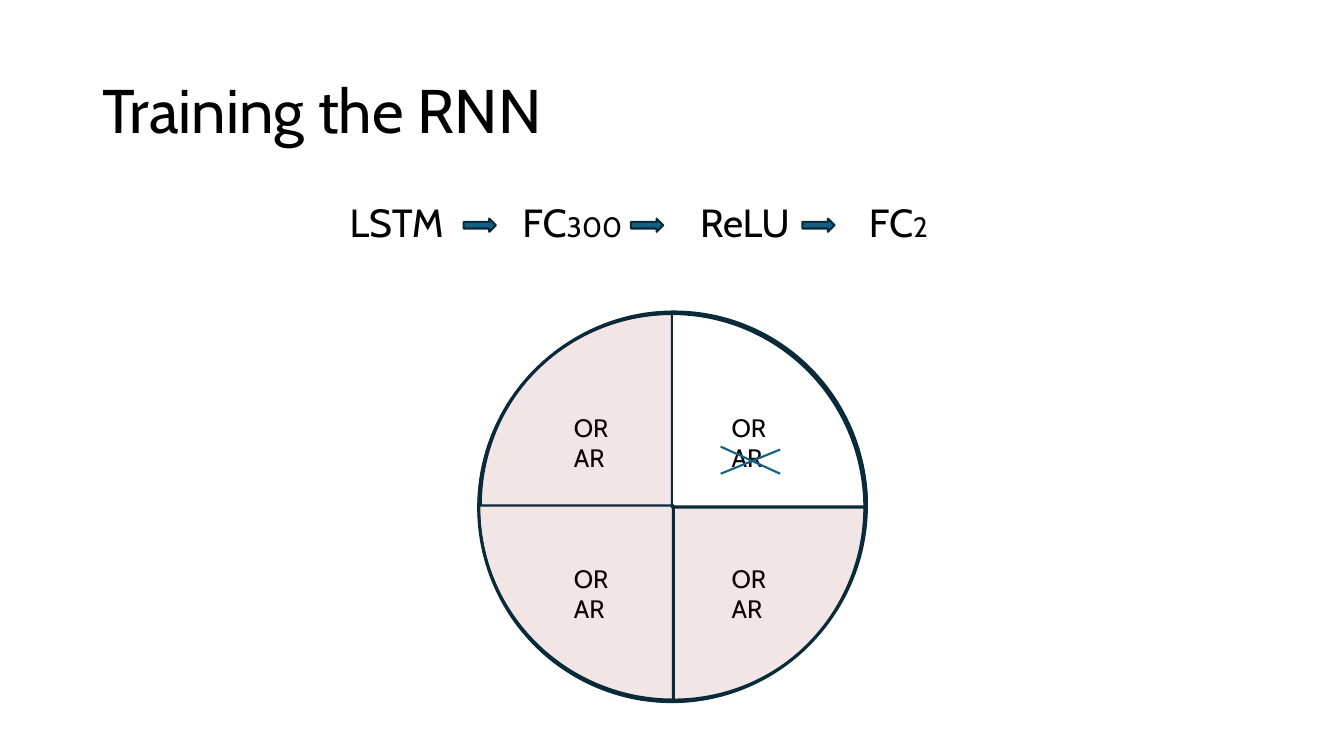
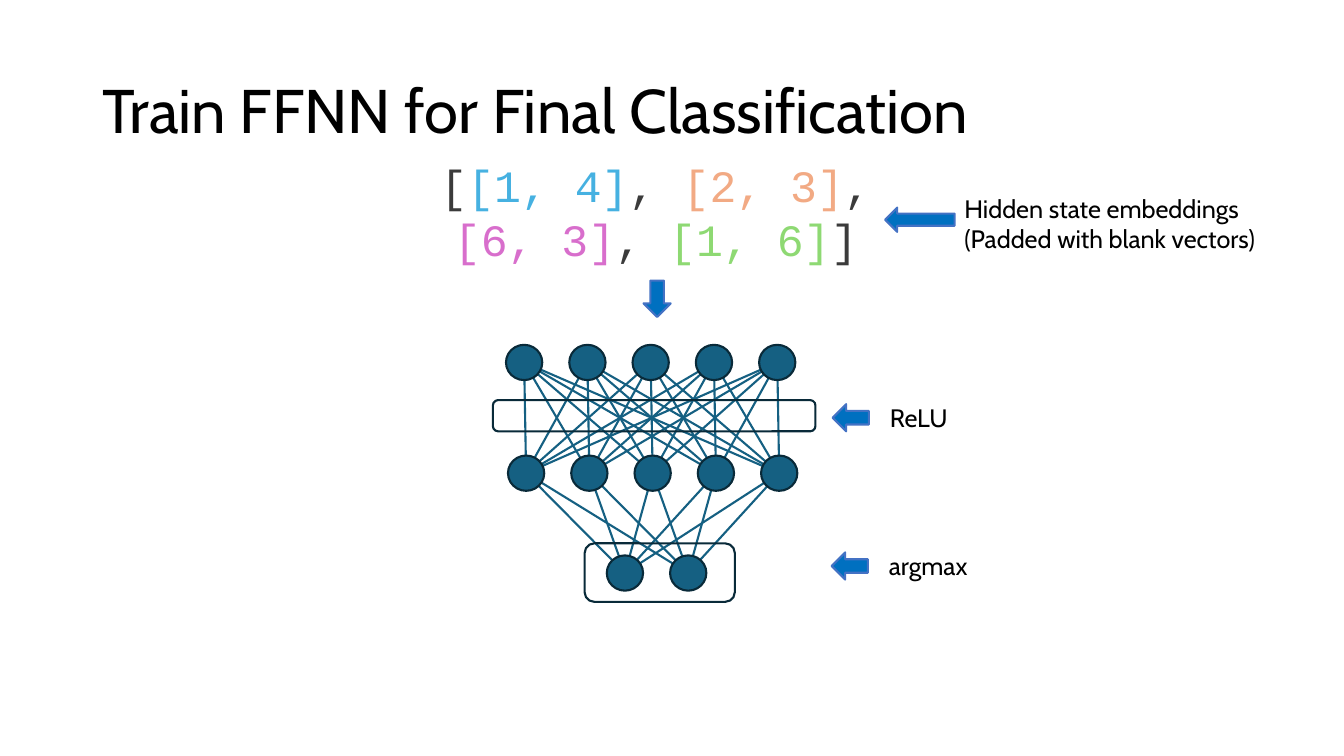
from itertools import pairwise, product

from lxml import etree
from pptx import Presentation
from pptx.dml.color import RGBColor
from pptx.enum import shapes, text
from pptx.oxml.ns import qn
from pptx.util import Pt

TEAL = RGBColor(0x15, 0x60, 0x82)
NAVY = RGBColor(0x09, 0x2A, 0x39)
BLUE = RGBColor(0x00, 0x70, 0xC0)
EDGE = RGBColor(0x44, 0x72, 0xC4)
WINE = RGBColor(0x82, 0x15, 0x17)
BLACK = RGBColor(0, 0, 0)
GREY = RGBColor(0x3B, 0x3B, 0x3B)
SKY = RGBColor(0x46, 0xB1, 0xE1)
PEACH = RGBColor(0xF2, 0xAA, 0x84)
PINK = RGBColor(0xD8, 0x6E, 0xCC)
GREEN = RGBColor(0x8E, 0xD9, 0x73)

SANS, MONO = "Cabin", "Courier New"
KIND = shapes.MSO_SHAPE
TITLE = (66, 29, 828, 104)

# Training slide: a run is (text, size, colour)
STEPS = [[("LSTM\tFC", 28, BLACK), ("300", 20, BLACK),
          ("\tReLU\tFC", 28, BLACK), ("2", 20, BLACK)]]
STEP_BOX = (242.6, 141.8, 496, 47)
TABS = (123.5, 250.5, 371)
STEP_ARROWS = (331.2, 450.7, 573.1)
WHEEL = (342, 223.9, 275.8, 277.2)
SPOKES = [(0, WINE), (90, None), (180, None)]  # turn, fill
SHIFT = 0.7
QUARTERS = list(product((402.8, 515.5), (290.9, 398.9)))
CROSS = [(514.8, 319, 557.3, 338.4), (514.8, 338.4, 557.3, 321.1)]

# Classification slide
VECTORS = [[("[", 32, GREY), ("[1, 4]", 32, SKY), (", ", 32, GREY),
            ("[2, 3]", 32, PEACH), (", ", 32, GREY), ("[6, 3]", 32, PINK),
            (", ", 32, GREY), ("[1, 6]", 32, GREEN), ("]", 32, GREY)]]
VECTOR_BOX = (301, 109.4, 334.8, 128)
LAYERS = [(5, 374.4, 258.9), (5, 375.8, 338), (2, 446.4, 409.3)]  # count, x, y
GAP = 45.2
NODE = (25.9, 25.2)
FRAMES = [(352.1, 285.8, 230.4, 22.3), (417.6, 388.1, 107.3, 41.8)]
NOTES = [
    (("Hidden state embeddings", "(Padded with blank vectors)"),
     (681.8, 134.6, 245.5, 51), (632.2, 148.3, 49.7, 17.3)),
    (("ReLU",), (628.6, 283.7, 216, 28.8), (594.7, 288.7, 25.9, 19.4)),
    (("argmax",), (627.8, 389.5, 216, 28.8), (594, 394.6, 25.9, 19.4)),
]
DOWN = (459.7, 200.5, 19.4, 25.9)


def plain(*lines):
    return [[(line, 18, BLACK)] for line in lines]


def write(slide, box, paras, face=SANS, frame=None, para=None):
    """Add a text box; frame and para hold format values."""
    tf = slide.shapes.add_textbox(*map(Pt, box)).text_frame
    tf.word_wrap = True
    for key, val in (frame or {}).items():
        setattr(tf, key, val)
    for i, runs in enumerate(paras):
        p = tf.add_paragraph() if i else tf.paragraphs[0]
        for key, val in (para or {}).items():
            setattr(p, key, val)
        for words, size, color in runs:
            run = p.add_run()
            run.text = words
            for key, val in {"name": face, "size": Pt(size)}.items():
                setattr(run.font, key, val)
            run.font.color.rgb = color
    return tf


def draw(slide, kind, box, fill=None, line=NAVY, width=1.5):
    shape = slide.shapes.add_shape(kind, *map(Pt, box))
    shape.shadow.inherit = False
    if fill is None:
        shape.fill.background()
    else:
        shape.fill.solid()
        shape.fill.fore_color.rgb = fill
    shape.line.color.rgb = line
    shape.line.width = Pt(width)
    return shape


def link(slide, *ends):
    line = slide.shapes.add_connector(shapes.MSO_CONNECTOR.STRAIGHT, *map(Pt, ends))
    line.line.color.rgb = TEAL
    line.line.width = Pt(1.5)
    etree.SubElement(line._element.spPr, qn("a:effectLst"))


def fade(shape, percent):
    """Set the opacity of a solid fill."""
    color = shape._element.spPr.find(qn("a:solidFill"))[0]
    etree.SubElement(color, qn("a:alpha")).set("val", str(percent * 1000))


def set_tabs(para, stops):
    tabs = etree.SubElement(para._p.get_or_add_pPr(), qn("a:tabLst"))
    for stop in stops:
        tab = etree.SubElement(tabs, qn("a:tab"))
        tab.set("pos", str(Pt(stop)))
        tab.set("algn", "l")


def start(deck, title):
    slide = deck.slides.add_slide(deck.slide_layouts[6])
    write(slide, TITLE, [[(title, 44, BLACK)]],
          frame={"vertical_anchor": text.MSO_ANCHOR.MIDDLE},
          para={"line_spacing": 0.9})
    return slide


def training(deck):
    slide = start(deck, "Training the RNN")
    tf = write(slide, STEP_BOX, STEPS,
               para={"line_spacing": 0.9, "space_before": Pt(10)})
    set_tabs(tf.paragraphs[0], TABS)
    for x in STEP_ARROWS:
        draw(slide, KIND.RIGHT_ARROW, (x, 156.2, 23, 9.4), TEAL)

    draw(slide, KIND.OVAL, WHEEL, width=2.25)
    for x, y in QUARTERS:
        write(slide, (x, y, 46, 51), plain("OR", "AR"))
    left, top, wide, high = WHEEL
    for i, (turn, fill) in enumerate(SPOKES):
        pie = draw(slide, KIND.PIE, (left + i * SHIFT, top - i * SHIFT, wide, high), fill)
        pie.rotation = turn
        if fill is not None:
            fade(pie, 11)
    for ends in CROSS:
        link(slide, *ends)


def classify(deck):
    slide = start(deck, "Train FFNN for Final Classification")
    write(slide, VECTOR_BOX, VECTORS, MONO, para={"alignment": text.PP_ALIGN.CENTER})

    layers = [[(x + i * GAP, y) for i in range(n)] for n, x, y in LAYERS]
    for upper, lower in pairwise(layers):
        for a, b in product(upper, lower):
            link(slide, *a, *b)
    wide, high = NODE
    for x, y in sum(layers, []):
        draw(slide, KIND.FLOWCHART_CONNECTOR,
             (x - wide / 2, y - high / 2, wide, high), TEAL)
    for box in FRAMES:
        draw(slide, KIND.ROUNDED_RECTANGLE, box)

    for lines, box, arrow in NOTES:
        write(slide, box, plain(*lines))
        draw(slide, KIND.LEFT_ARROW, arrow, BLUE, EDGE)
    draw(slide, KIND.DOWN_ARROW, DOWN, BLUE, EDGE)


def main():
    deck = Presentation()
    deck.slide_width, deck.slide_height = Pt(960), Pt(540)
    training(deck)
    classify(deck)
    deck.save("out.pptx")


if __name__ == "__main__":
    main()
